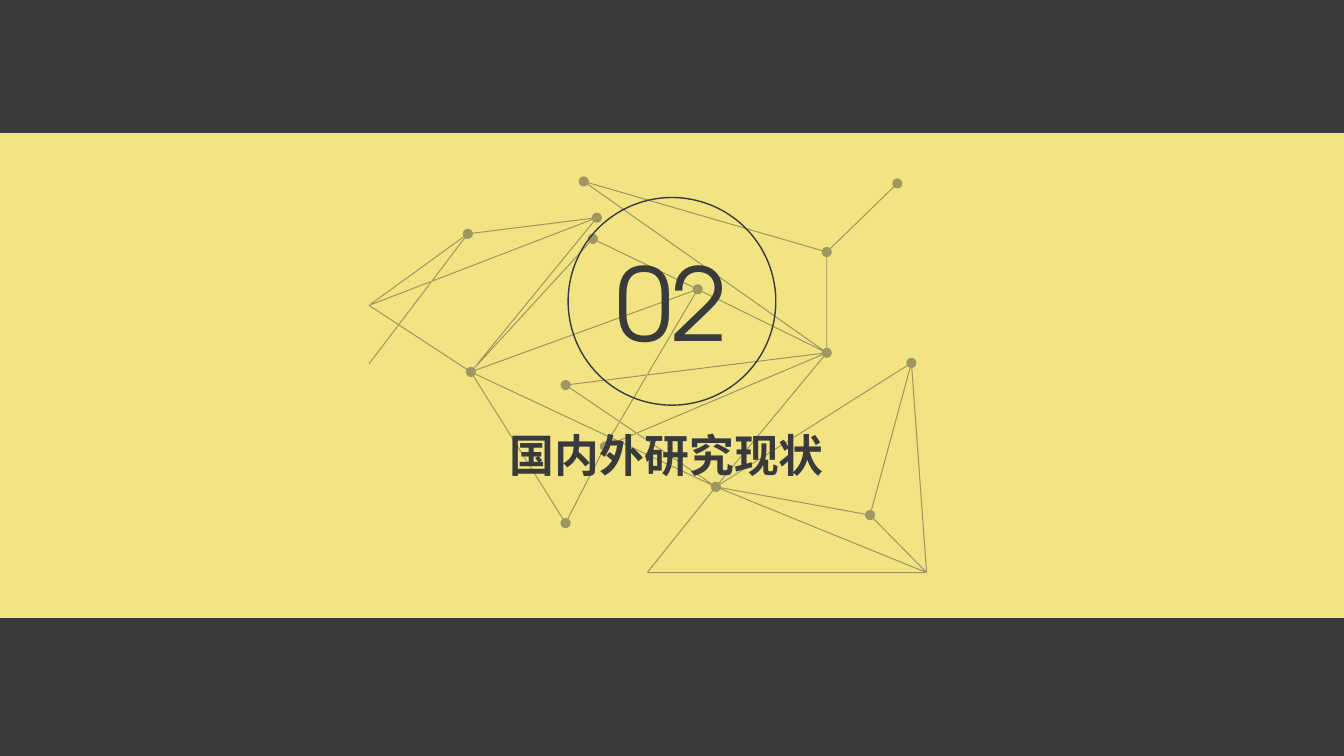
"""Build a section slide: dark page, yellow band, node network, number ring and title."""
from dataclasses import dataclass
from math import cos, hypot, pi, sin

from lxml import etree
from pptx import Presentation
from pptx.dml.color import RGBColor
from pptx.enum.shapes import MSO_SHAPE
from pptx.enum.text import MSO_ANCHOR, MSO_AUTO_SIZE, PP_ALIGN
from pptx.oxml.ns import qn
from pptx.util import Inches, Pt

RECT, OVAL = MSO_SHAPE.RECTANGLE, MSO_SHAPE.OVAL
CENTER, MIDDLE = PP_ALIGN.CENTER, MSO_ANCHOR.MIDDLE

NUMBER = "02"
TITLE = "国内外研究现状"

DOTS = {
    "B": (9.04, 3.6), "C": (8.63, 5.11), "D": (7.1, 4.83), "E": (8.2, 3.5),
    "F": (8.2, 2.5), "G": (8.9, 1.82), "H": (5.79, 1.8), "I": (6.92, 2.87),
    "J": (5.88, 2.37), "K": (5.92, 2.16), "L": (4.64, 2.32), "O": (4.67, 3.69),
    "P": (5.61, 5.19), "Q": (6.0, 4.43), "R": (5.61, 3.82),
}
TIPS = {"A": (9.19, 5.68), "M": (3.66, 3.03), "N": (3.66, 3.61), "S": (6.42, 5.68)}
EDGES = ("AB BC CA AD DC DB AS SD DE EF FG FH HE JI IE JO KO KL KM "
         "LM LN MO OP PQ QI OI RE RD OD QE").split()

SLIDE_W, SLIDE_H = 13.33, 7.5
BAND_TOP, BAND_H = 1.32, 4.81
DOT_R, DOT_SIDES = 0.05, 16
EDGE_W = 0.01
RING_D, RING_TOP = 2.06, 1.96
TITLE_BOX = (3.93, 4.11, 5.37, 0.79)
TITLE_INSET = 0.02


@dataclass(frozen=True)
class Theme:
    dark: RGBColor = RGBColor(0x38, 0x3A, 0x3B)
    yellow: RGBColor = RGBColor(0xF3, 0xE4, 0x83)
    alpha: int = 45
    ring: float = 1
    number_font: str = "TeX Gyre Adventor"
    number_size: int = 72
    title_font: str = "Manrope"
    title_size: int = 32


THEME = Theme()


def style(sp, fill=None):
    sp.shadow.inherit = False
    sp.line.fill.background()
    if fill is None:
        sp.fill.background()
    else:
        sp.fill.solid()
        sp.fill.fore_color.rgb = fill
    return sp


def add_shape(slide, kind, x, y, w, h, fill=None):
    return style(slide.shapes.add_shape(kind, *map(Inches, (x, y, w, h))), fill)


def add_outline(slide, contours):
    contours = [[(Inches(x), Inches(y)) for x, y in pts] for pts in contours]
    builder = slide.shapes.build_freeform(*contours[0][0])
    builder.add_line_segments(contours[0][1:])
    for pts in contours[1:]:
        builder.move_to(*pts[0])
        builder.add_line_segments(pts[1:])
    return builder.convert_to_shape()


def edge_strip(start, end):
    (x1, y1), (x2, y2) = ({**DOTS, **TIPS}[name] for name in (start, end))
    length = hypot(x2 - x1, y2 - y1)
    ux, uy = (x2 - x1) / length, (y2 - y1) / length
    if start in DOTS:
        x1, y1 = x1 + ux * DOT_R, y1 + uy * DOT_R
    if end in DOTS:
        x2, y2 = x2 - ux * DOT_R, y2 - uy * DOT_R
    nx, ny = -uy * EDGE_W / 2, ux * EDGE_W / 2
    return [(x1 - nx, y1 - ny), (x2 - nx, y2 - ny),
            (x2 + nx, y2 + ny), (x1 + nx, y1 + ny), (x1 - nx, y1 - ny)]


def dot_ring(x, y):
    angles = [2 * pi * i / DOT_SIDES for i in range(DOT_SIDES + 1)]
    return [(x + DOT_R * cos(a), y + DOT_R * sin(a)) for a in angles]


def add_network(slide):
    contours = [edge_strip(*edge) for edge in EDGES]
    contours += [dot_ring(x, y) for x, y in DOTS.values()]
    sp = style(add_outline(slide, contours), THEME.dark)
    clr = sp._element.spPr.find(f".//{qn('a:srgbClr')}")
    etree.SubElement(clr, qn("a:alpha")).set("val", str(THEME.alpha * 1000))


def write(sp, text, font, size, bold=False):
    tf = sp.text_frame
    tf.word_wrap = True
    tf.auto_size = MSO_AUTO_SIZE.NONE
    tf.vertical_anchor = MIDDLE
    p = tf.paragraphs[0]
    p.alignment = CENTER
    r = p.add_run()
    r.text = text
    r.font.name = font
    r.font.size = Pt(size)
    r.font.bold = bold
    r.font.color.rgb = THEME.dark


def add_title(slide):
    title = slide.shapes.title
    x, y, w, h = TITLE_BOX
    title.left, title.top, title.width, title.height = map(Inches, TITLE_BOX)
    frame = add_outline(slide, [[(x, y), (x + w, y), (x + w, y + h), (x, y + h), (x, y)]])
    title._element.spPr.append(frame._element.spPr.find(qn("a:custGeom")))
    slide.shapes._spTree.remove(frame._element)
    slide.shapes._spTree.append(title._element)
    tf = title.text_frame
    tf.margin_left = tf.margin_right = tf.margin_top = tf.margin_bottom = Inches(TITLE_INSET)
    write(title, TITLE, THEME.title_font, THEME.title_size, bold=True)


def main():
    prs = Presentation()
    prs.slide_width, prs.slide_height = Inches(SLIDE_W), Inches(SLIDE_H)
    slide = prs.slides.add_slide(prs.slide_layouts[5])
    slide.background.fill.solid()
    slide.background.fill.fore_color.rgb = THEME.dark

    add_shape(slide, RECT, 0, BAND_TOP, SLIDE_W, BAND_H, THEME.yellow)
    add_network(slide)

    ring = add_shape(slide, OVAL, (SLIDE_W - RING_D) / 2, RING_TOP, RING_D, RING_D)
    ring.line.color.rgb = THEME.dark
    ring.line.width = Pt(THEME.ring)
    write(ring, NUMBER, THEME.number_font, THEME.number_size)

    add_title(slide)
    prs.save("out.pptx")


if __name__ == "__main__":
    main()
